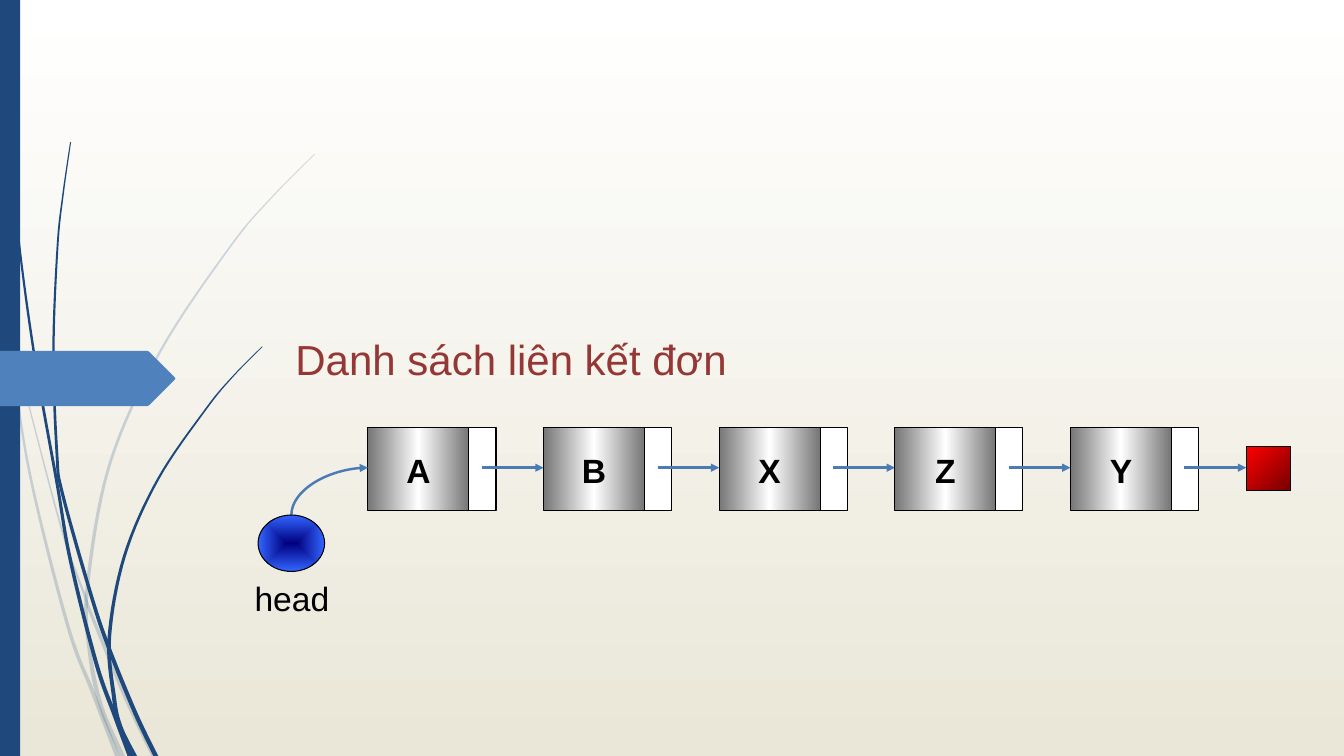
from lxml.etree import SubElement
from pptx import Presentation
from pptx.dml.color import RGBColor
from pptx.enum.shapes import MSO_CONNECTOR, MSO_SHAPE
from pptx.enum.text import MSO_ANCHOR, MSO_AUTO_SIZE, PP_ALIGN
from pptx.oxml.ns import qn
from pptx.util import Inches, Pt

COLUMNS, ROWS = 133.3, 75  # grid cells of a tenth of an inch
NAVY, BLUE, LINK, BLACK, WHITE = "1F497D", "4F81BD", "4B7BB5", "000000", "FFFFFF"
STEEL = [(0, "767676"), (50, WHITE), (100, "767676")]


def cells(*counts):
    """Turn grid cells into lengths."""
    return [Inches(count / 10) for count in counts]


def color(target, value):
    """Give a font, fill or line a solid hex colour."""
    if hasattr(target, "solid"):
        target.solid()
        target.fore_color.rgb = RGBColor.from_string(value)
    else:
        target.color.rgb = RGBColor.from_string(value)


def gradient(owner, fill, stops, angle=None):
    """Fill with gradient stops, along an angle or outward from the centre."""
    fill.gradient()
    grad = next(owner.element.iter(qn("a:gradFill")))
    for child in list(grad):
        grad.remove(child)
    stop_list = SubElement(grad, qn("a:gsLst"))
    for position, value in stops:
        stop = SubElement(stop_list, qn("a:gs"), pos=str(position * 1000))
        SubElement(stop, qn("a:srgbClr"), val=value)
    if angle is None:
        center = SubElement(grad, qn("a:path"), {"path": "shape"})
        SubElement(center, qn("a:fillToRect"), dict.fromkeys("ltrb", "50000"))
    else:
        SubElement(grad, qn("a:lin"), ang=str(angle * 60000), scaled="0")


def smooth_curve(knots, steps=8):
    """Return points of a Catmull-Rom curve through the knots."""
    padded = [knots[0], *knots, knots[-1]]
    points = []
    for a, b, c, d in zip(padded, padded[1:], padded[2:], padded[3:]):
        for step in range(steps):
            t = step / steps
            points.append(tuple(
                q + t / 2 * (r - p + t * (2 * p - 5 * q + 4 * r - s + t * (3 * (q - r) + s - p)))
                for p, q, r, s in zip(a, b, c, d)))
    return points + [knots[-1]]


class SlideStyle:
    """Hold the style and the current slide."""

    font = "Arial"

    def __init__(self, page):
        """Keep the page to draw on."""
        self.page = page
        self.shapes = page.shapes

    def put_text(self, box, text, size, value, align, anchor, bold=False):
        """Set and format the text of a shape."""
        frame = box.text_frame
        frame.text = text
        frame.word_wrap = True
        frame.auto_size = MSO_AUTO_SIZE.NONE
        frame.vertical_anchor = anchor
        para = frame.paragraphs[0]
        para.alignment = align
        for span in para.runs:
            span.font.name, span.font.size, span.font.bold = self.font, Pt(size), bold
            color(span.font, value)

    def title(self, text, area):
        """Place the title placeholder."""
        box = self.shapes.title
        box.left, box.top, box.width, box.height = cells(*area)
        self.put_text(box, text, 30, "953735", PP_ALIGN.LEFT, MSO_ANCHOR.BOTTOM)

    def label(self, text, area):
        """Add a centred caption."""
        box = self.shapes.add_textbox(*cells(*area))
        self.put_text(box, text, 24, BLACK, PP_ALIGN.CENTER, MSO_ANCHOR.TOP)

    def shape(self, kind, area, fill, angle=None, outline=True):
        """Add a preset shape with a hex or gradient fill."""
        box = self.shapes.add_shape(kind, *cells(*area))
        box.shadow.inherit = False
        if isinstance(fill, str):
            color(box.fill, fill)
        else:
            gradient(box, box.fill, fill, angle)
        if outline:
            color(box.line.fill, BLACK)
            box.line.width = Pt(0.75)
        else:
            box.line.fill.background()
        return box

    def node(self, text, area):
        """Add a metallic data cell with a letter."""
        box = self.shape(MSO_SHAPE.RECTANGLE, area, STEEL, 0)
        self.put_text(box, text, 24, BLACK, PP_ALIGN.CENTER, MSO_ANCHOR.MIDDLE, True)
        frame = box.text_frame
        frame.margin_left = frame.margin_right = frame.margin_bottom = 0
        frame.margin_top = Inches(0.03)

    def outline(self, points, value, opacity=100):
        """Add a closed freeform without a border."""
        corners = [cells(*point) for point in points]
        builder = self.shapes.build_freeform(*corners[0], scale=1.0)
        builder.add_line_segments(corners[1:])
        form = builder.convert_to_shape()
        form.shadow.inherit = False
        color(form.fill, value)
        form.line.fill.background()
        if opacity < 100:
            shade = next(form.element.spPr.iter(qn("a:srgbClr")))
            SubElement(shade, qn("a:alpha"), val=str(opacity * 1000))

    def blade(self, knots, opacity):
        """Add a grass blade that widens toward its root."""
        curve = smooth_curve(knots)
        halves = [0.05 + 0.2 * index / (len(curve) - 1) for index in range(len(curve))]
        left = [(max(x - half, 0), y) for (x, y), half in zip(curve, halves)]
        right = [(x + half, y) for (x, y), half in zip(curve, halves)]
        self.outline(left + right[::-1], NAVY, opacity)

    def arrow(self, start, end, kind=MSO_CONNECTOR.STRAIGHT):
        """Add a connector with an arrowhead at its end."""
        link = self.shapes.add_connector(kind, *cells(*start, *end))
        color(link.line.fill, LINK)
        link.line.width = Pt(1.75)
        SubElement(link.element.spPr.find(qn("a:ln")), qn("a:tailEnd"), type="triangle")
        SubElement(link.element.spPr, qn("a:effectLst"))
        return link

    def quarter_arrow(self, start, end):
        """Add an arrow that leaves upward and arrives rightward."""
        (x1, y1), (x2, y2) = start, end
        middle_x, middle_y = (x1 + x2) / 2, (y1 + y2) / 2
        half_w, half_h = (y1 - y2) / 2, (x2 - x1) / 2
        link = self.arrow((middle_x + half_w, middle_y + half_h),
                          (middle_x - half_w, middle_y - half_h), MSO_CONNECTOR.CURVE)
        link.element.spPr.find(qn("a:xfrm")).set("rot", str(90 * 60000))
        link.element.spPr.find(qn("a:prstGeom")).set("prst", "curvedConnector2")


PALE_BLADES = [
    [(0, 29), (1.1, 35), (2.95, 47), (6.7, 62), (9.25, 68.8), (11.65, 75)],
    [(1.4, 34.5), (6, 52.1), (8.45, 59.2), (9, 60.8), (12.5, 69.3), (15.25, 75)],
    [(31.2, 15.3), (26.8, 19.75), (22.85, 24.45), (15.9, 34.85), (10.85, 46.15),
     (8.65, 58.4), (8.9, 64.6), (10, 70), (12.15, 75)]]
DARK_BLADES = [
    [(0.35, 0), (0.75, 11), (1.8, 23.25), (3.45, 35.5), (5.65, 47.9), (7, 55.65),
     (9.55, 65.8), (11.4, 71), (12.9, 75)],
    [(7, 14.1), (6.25, 19.3), (5.7, 24.5), (5.3, 34.9), (5.65, 45.1), (6.2, 49),
     (9.05, 59.1), (10.8, 64.3), (13.4, 70.7), (15.45, 75)],
    [(26, 34.4), (23.1, 37.35), (20.45, 40.55), (15.7, 47.5), (12.35, 55.15),
     (10.85, 63.2), (11.3, 69.1), (11.9, 72), (13.35, 75)]]
TAG = [(0, 34.8), (14.6, 34.8), (14.8, 34.9), (17.3, 37.4), (17.4, 37.55),
       (17.3, 37.7), (14.8, 40.2), (14.6, 40.3), (0, 40.3)]
FIRST, PITCH, TOP, HEIGHT, LINK_ROW = 36.5, 17.42, 42.4, 8.2, 46.4

deck = Presentation()
deck.slide_width, deck.slide_height = cells(COLUMNS, ROWS)
page = deck.slides.add_slide(deck.slide_layouts[5])
gradient(page, page.background.fill, [(0, WHITE), (100, "EAE7D8")], 90)
style = SlideStyle(page)

for blades, opacity in ((PALE_BLADES, 20), (DARK_BLADES, 100)):
    for knots in blades:
        style.blade(knots, opacity)
style.shape(MSO_SHAPE.RECTANGLE, (0, 0, 2, ROWS), NAVY, outline=False)
style.outline(TAG, BLUE)
style.title("Danh sách liên kết đơn", (28.3, 22.5, 97.5, 16.1))

letters = "ABXZY"
style.shape(MSO_SHAPE.RECTANGLE, (FIRST + len(letters) * PITCH, 44.3, 4.4, 4.4),
            [(0, "FF0000"), (100, "760000")], 45)
for index, letter in enumerate(letters):
    left = FIRST + index * PITCH
    style.shape(MSO_SHAPE.RECTANGLE, (left + 10, TOP, 2.7, HEIGHT), WHITE)
    style.node(letter, (left, TOP, 10, HEIGHT))
    style.arrow((left + 11.3, LINK_ROW), (left + PITCH, LINK_ROW))
style.quarter_arrow((28.9, 51.1), (FIRST, LINK_ROW))
style.shape(MSO_SHAPE.OVAL, (25.6, 51.1, 6.6, 5.6), [(0, "000080"), (100, "3366FF")])
style.label("head", (22.9, 56.8, 12.1, 5))

deck.save("out.pptx")
